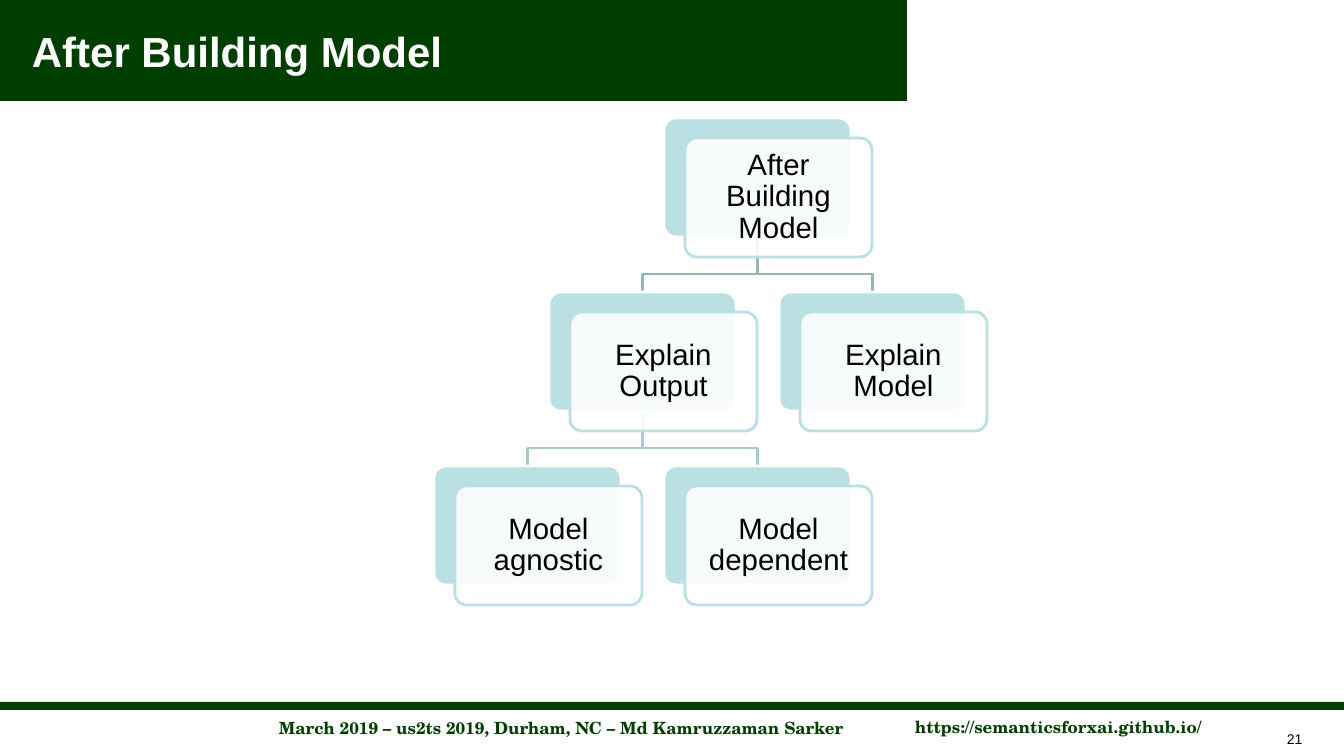
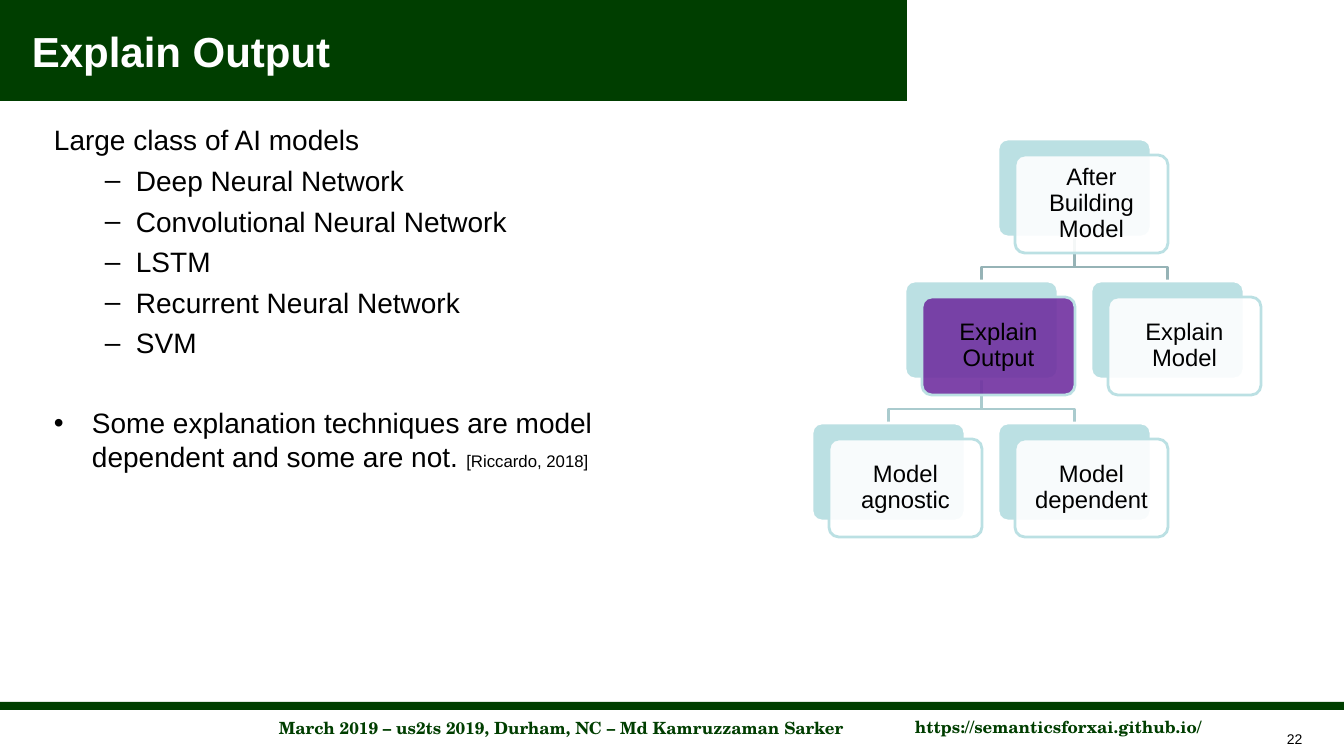
"""Build two slides on explaining a model after it has been built."""
from dataclasses import dataclass

from lxml.etree import SubElement
from pptx import Presentation
from pptx.dml.color import RGBColor
from pptx.enum.shapes import MSO_SHAPE as Preset
from pptx.enum.text import MSO_ANCHOR as Anchor, PP_ALIGN as Align
from pptx.oxml.ns import qn
from pptx.shapes.autoshape import Shape
from pptx.slide import Slide
from pptx.text.text import TextFrame, _Paragraph as Paragraph
from pptx.util import Emu, Pt

SCALE = 914400 / 100.8
WIDTH, HEIGHT = 1344, 756
GREEN, WHITE, BLACK = "003E00", "FFFFFF", "000000"
TEAL, PURPLE = "BBE0E3", "7030A0"
BRANCH_COLORS = ("96B3B6", "AACBCE")
SANS, SERIF = "Arial", "TeX Gyre Schola"
ELBOW = 0.68


@dataclass(frozen=True)
class Box:
    left: int
    top: int
    width: int
    height: int


@dataclass(frozen=True)
class Style:
    size: float
    color: str = BLACK
    font: str = SANS
    bold: bool = False


@dataclass(frozen=True)
class Topic:
    label: str
    column: int
    row: int
    parent: int | None = None


@dataclass(frozen=True)
class TreeLayout:
    root: Box
    column_step: int
    row_step: int
    shift_x: int
    shift_y: int
    inset: int
    text_size: int

    def card(self, topic: Topic) -> Box:
        return Box(self.root.left + topic.column * self.column_step,
                   self.root.top + topic.row * self.row_step,
                   self.root.width, self.root.height)


@dataclass(frozen=True)
class Point:
    text: str
    bullet: str = ""
    level: int = 0
    margin: int = 0
    hanging: int = 0
    before: int = 5
    citation: str = ""


TITLE = Style(30, WHITE, bold=True)
FOOTER = Style(12, GREEN, SERIF, True)
PAGE_NUMBER = Style(10)
BODY, CITATION = Style(20), Style(12)

FOOTERS = (
    (Box(147, 713, 829, 30), "March 2019 – us2ts 2019, Durham, NC – Md Kamruzzaman Sarker"),
    (Box(874, 712, 369, 30), "https://semanticsforxai.github.io/"),
)
TOPICS = (
    Topic("After Building Model", 0, 0),
    Topic("Explain Output", -1, 1, 0),
    Topic("Model agnostic", -2, 2, 1),
    Topic("Model dependent", 0, 2, 1),
    Topic("Explain Model", 1, 1, 0),
)
LARGE_TREE = TreeLayout(Box(664, 118, 187, 119), 115, 174, 21, 20, 9, 21)
SMALL_TREE = TreeLayout(Box(998, 139, 153, 98), 93, 142, 17, 16, 7, 17)
MODELS = ("Deep Neural Network", "Convolutional Neural Network", "LSTM",
          "Recurrent Neural Network", "SVM")
POINTS = (
    Point("Large class of AI models", before=0),
    *(Point(model, "–", 1, 82, 31) for model in MODELS),
    Point("Some explanation techniques are model dependent and some are not. ",
          "•", 0, 38, 38, 33, "[Riccardo, 2018]"),
)


def px(length: float) -> Emu:
    """Turn pixels into EMU."""
    return Emu(round(length * SCALE))


def rgb(color: str) -> RGBColor:
    """Turn a hex string into a colour."""
    return RGBColor.from_string(color)


def place(box: Box) -> tuple[Emu, Emu, Emu, Emu]:
    """Return the box as EMU lengths."""
    return px(box.left), px(box.top), px(box.width), px(box.height)


def format_runs(paragraph: Paragraph, style: Style) -> None:
    """Apply a style to every run of a paragraph."""
    for run in paragraph.runs:
        run.font.size = Pt(style.size)
        run.font.name = style.font
        run.font.bold = style.bold
        run.font.color.rgb = rgb(style.color)


def add_text(slide: Slide, box: Box, text: str, style: Style,
             align: Align = Align.LEFT, anchor: Anchor = Anchor.TOP) -> TextFrame:
    """Add a wrapped text box with one styled paragraph."""
    frame = slide.shapes.add_textbox(*place(box)).text_frame
    frame.word_wrap = True
    frame.vertical_anchor = anchor
    frame.text = text
    frame.paragraphs[0].alignment = align
    format_runs(frame.paragraphs[0], style)
    return frame


def add_panel(slide: Slide, preset: Preset, box: Box, fill: str,
              outline: str | None = None) -> Shape:
    """Add a filled shape with an optional outline."""
    panel = slide.shapes.add_shape(preset, *place(box))
    panel.shadow.inherit = False
    panel.fill.solid()
    panel.fill.fore_color.rgb = rgb(fill)
    if outline:
        panel.line.color.rgb = rgb(outline)
        panel.line.width = Pt(2)
    else:
        panel.line.fill.background()
    return panel


def add_card(slide: Slide, layout: TreeLayout, topic: Topic, fill: str) -> None:
    """Add a backing card and the translucent labelled card over it."""
    back = layout.card(topic)
    front = Box(back.left + layout.shift_x, back.top + layout.shift_y,
                back.width, back.height)
    backing = add_panel(slide, Preset.ROUNDED_RECTANGLE, back, TEAL, WHITE)
    label = add_panel(slide, Preset.ROUNDED_RECTANGLE, front, fill, TEAL)
    for panel in (backing, label):
        panel.adjustments[0] = 0.1
    SubElement(label.element.find(".//" + qn("a:srgbClr")), qn("a:alpha"), val="90000")
    frame = label.text_frame
    frame.word_wrap = True
    frame.vertical_anchor = Anchor.MIDDLE
    frame.margin_left = frame.margin_right = px(layout.inset)
    frame.margin_top = frame.margin_bottom = px(layout.inset)
    frame.text = topic.label
    paragraph = frame.paragraphs[0]
    paragraph.alignment = Align.CENTER
    paragraph.line_spacing = 0.9
    format_runs(paragraph, Style(layout.text_size))


def add_branch(slide: Slide, layout: TreeLayout, parent: Topic, child: Topic) -> None:
    """Draw the elbow line from a parent card to a child card."""
    start, end = layout.card(parent), layout.card(child)
    start_x, end_x = (card.left + card.width / 2 for card in (start, end))
    bottom = start.top + start.height
    bend = bottom + round((end.top - bottom) * ELBOW)
    builder = slide.shapes.build_freeform(px(start_x), px(bottom))
    builder.add_line_segments(
        [(px(start_x), px(bend)), (px(end_x), px(bend)), (px(end_x), px(end.top))],
        close=False)
    branch = builder.convert_to_shape()
    branch.shadow.inherit = False
    branch.fill.background()
    branch.line.color.rgb = rgb(BRANCH_COLORS[parent.row])
    branch.line.width = Pt(2)


def add_tree(slide: Slide, layout: TreeLayout, highlight: str = "") -> None:
    """Draw the topic tree, with one topic highlighted if named."""
    for topic in TOPICS:
        if topic.parent is not None:
            add_branch(slide, layout, TOPICS[topic.parent], topic)
    for topic in TOPICS:
        add_card(slide, layout, topic, PURPLE if topic.label == highlight else WHITE)


def add_points(slide: Slide, box: Box, points: tuple[Point, ...]) -> None:
    """Add the body text with its bullets and citation."""
    frame = add_text(slide, box, points[0].text, BODY)
    for point in points[1:]:
        paragraph = frame.add_paragraph()
        paragraph.text = point.text
        paragraph.level = point.level
        paragraph.space_before = Pt(point.before)
        properties = paragraph._p.get_or_add_pPr()
        properties.set("marL", str(px(point.margin)))
        properties.set("indent", str(-px(point.hanging)))
        SubElement(properties, qn("a:buFont"), typeface=SANS)
        SubElement(properties, qn("a:buChar"), char=point.bullet)
        format_runs(paragraph, BODY)
        if point.citation:
            citation = paragraph.add_run()
            citation.text = point.citation
            format_runs(paragraph, BODY)
            citation.font.size = Pt(CITATION.size)


def add_base(deck: Presentation, title: str, number: int) -> Slide:
    """Add a slide with its title band, footer and page number."""
    slide = deck.slides.add_slide(deck.slide_layouts[6])
    for band in (Box(0, 702, WIDTH, 8), Box(0, 0, 907, 101)):
        add_panel(slide, Preset.RECTANGLE, band, GREEN)
    for box, text in FOOTERS:
        add_text(slide, box, text, FOOTER, Align.CENTER)
    add_text(slide, Box(1277, 726, 67, 25), str(number), PAGE_NUMBER)
    add_text(slide, Box(22, 0, 885, 101), title, TITLE, anchor=Anchor.MIDDLE)
    return slide


def main() -> None:
    """Build and save the deck."""
    deck = Presentation()
    deck.slide_width, deck.slide_height = px(WIDTH), px(HEIGHT)
    overview = add_base(deck, "After Building Model", 21)
    add_tree(overview, LARGE_TREE)
    output = add_base(deck, "Explain Output", 22)
    add_points(output, Box(44, 118, 583, 407), POINTS)
    add_tree(output, SMALL_TREE, "Explain Output")
    deck.save("out.pptx")


if __name__ == "__main__":
    main()
